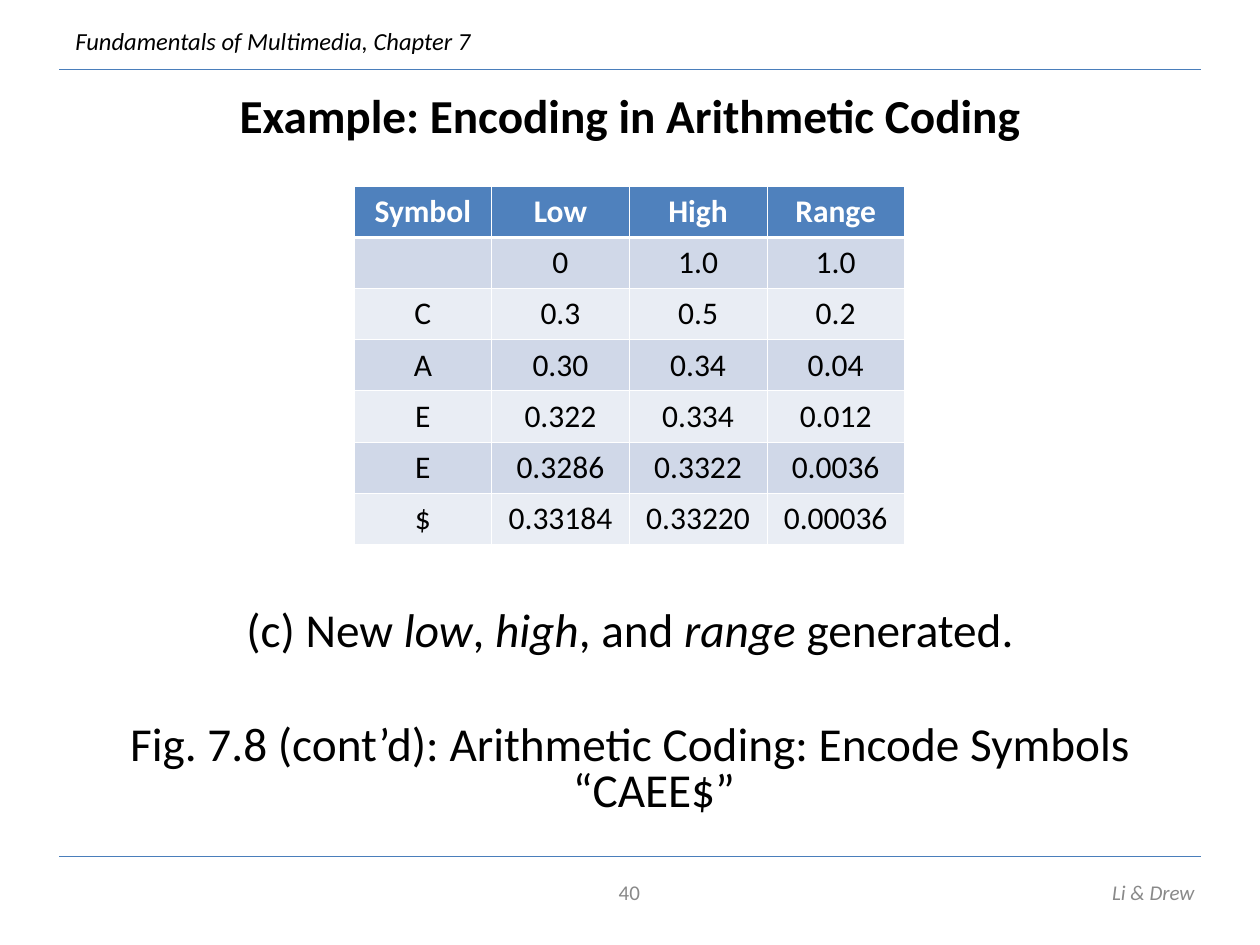
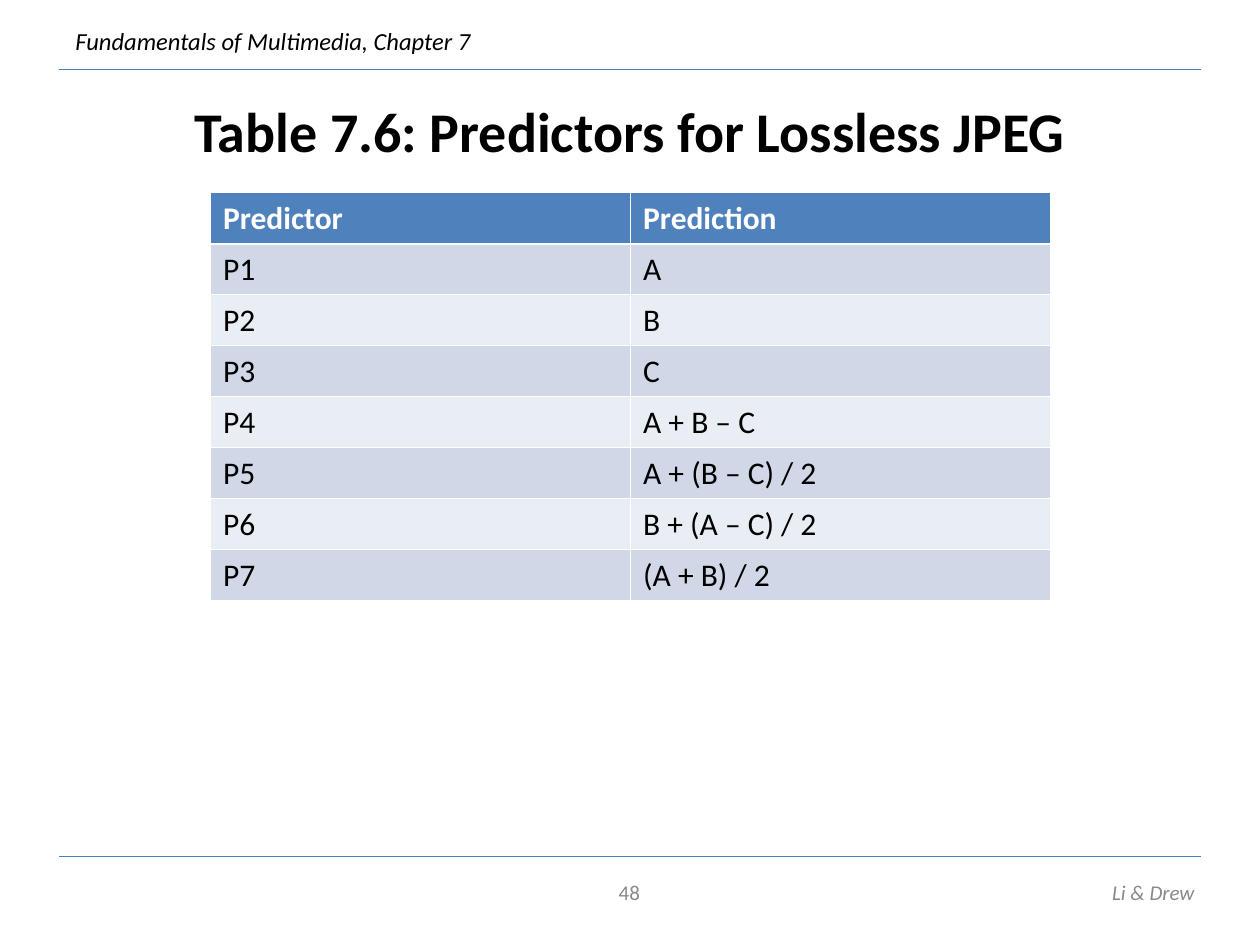
from dataclasses import dataclass

from lxml import etree
from pptx import Presentation
from pptx.dml.color import RGBColor
from pptx.enum.shapes import MSO_CONNECTOR
from pptx.enum.text import MSO_ANCHOR, PP_ALIGN
from pptx.oxml.ns import qn
from pptx.util import Inches, Pt

LEFT, CENTER, RIGHT = PP_ALIGN.LEFT, PP_ALIGN.CENTER, PP_ALIGN.RIGHT
TOP, MIDDLE = MSO_ANCHOR.TOP, MSO_ANCHOR.MIDDLE
STRAIGHT = MSO_CONNECTOR.STRAIGHT


@dataclass(frozen=True)
class Theme:
    font: str = "Calibri"
    text: str = "000000"
    white: str = "FFFFFF"
    muted: str = "898989"
    rule: str = "4A7EBB"
    header: str = "4F81BD"
    bands: tuple = ("D0D8E8", "E9EDF4")
    running_size: int = 14
    footer_size: int = 12
    caption_size: int = 27
    table_size: int = 18
    rule_width: float = 0.75
    border: float = 0.45
    header_border: float = 1.47


THEME = Theme()
RUNNING_HEAD = "Fundamentals of Multimedia, Chapter 7"
AUTHORS = "Li & Drew"
RULE_SPAN = (0.47, 9.53)
RULE_TOPS = (0.55, 6.8)
TITLE_BOX = (0.5, 0.7, 9, 0.7)
CAPTION_BOX = (0.5, 4.78, 9, 1.78)
HANGING = 0.38

SLIDES = [
    {
        "number": "40",
        "title": "Example: Encoding in Arithmetic Coding",
        "title_size": 27,
        "title_spacing": 0.8,
        "table_box": (2.81, 1.48, 4.37, 2.84),
        "table_align": CENTER,
        "rows": [
            ("Symbol", "Low", "High", "Range"),
            ("", "0", "1.0", "1.0"),
            ("C", "0.3", "0.5", "0.2"),
            ("A", "0.30", "0.34", "0.04"),
            ("E", "0.322", "0.334", "0.012"),
            ("E", "0.3286", "0.3322", "0.0036"),
            ("$", "0.33184", "0.33220", "0.00036"),
        ],
        "captions": [
            [("(c) New ", False), ("low", True), (", ", False), ("high", True),
             (", and ", False), ("range ", True), ("generated.", False)],
            [("Fig. 7.8 (cont’d): Arithmetic Coding: Encode Symbols “CAEE$”", False)],
        ],
    },
    {
        "number": "48",
        "title": "Table 7.6: Predictors for Lossless JPEG",
        "title_size": 32,
        "title_spacing": 1.0,
        "table_box": (1.67, 1.53, 6.67, 3.24),
        "table_align": LEFT,
        "rows": [
            ("Predictor", "Prediction"),
            ("P1", "A"),
            ("P2", "B"),
            ("P3", "C"),
            ("P4", "A + B – C"),
            ("P5", "A + (B – C) / 2"),
            ("P6", "B + (A – C) / 2"),
            ("P7", "(A + B) / 2"),
        ],
        "captions": [],
    },
]


def write(tf, paragraphs, size, color=THEME.text, bold=False, align=LEFT,
          spacing=1.0, gap=0, hanging=0):
    for i, runs in enumerate(paragraphs):
        p = tf.add_paragraph() if i else tf.paragraphs[0]
        p.alignment = align
        p.line_spacing = spacing
        if i:
            p.space_before = Pt(gap)
        if hanging:
            pPr = p._p.get_or_add_pPr()
            pPr.set("marL", str(Inches(hanging)))
            pPr.set("indent", str(-Inches(hanging)))
        for text, italic in runs:
            r = p.add_run()
            r.text = text
            r.font.name = THEME.font
            r.font.size = Pt(size)
            r.font.bold = bold
            r.font.italic = italic
            r.font.color.rgb = RGBColor.from_string(color)


def add_text(slide, box, paragraphs, anchor=TOP, inset=0.05, wrap=True, **fmt):
    tf = slide.shapes.add_textbox(*map(Inches, box)).text_frame
    tf.word_wrap = wrap
    tf.vertical_anchor = anchor
    tf.margin_top = Inches(inset)
    write(tf, paragraphs, **fmt)


def add_rule(slide, y):
    x1, x2 = RULE_SPAN
    sp = slide.shapes.add_connector(STRAIGHT, *map(Inches, (x1, y, x2, y)))
    sp.line.color.rgb = RGBColor.from_string(THEME.rule)
    sp.line.width = Pt(THEME.rule_width)
    etree.SubElement(sp._element.spPr, qn("a:effectLst"))


def set_borders(cell, row):
    widths = {
        "lnL": THEME.border,
        "lnR": THEME.border,
        "lnT": THEME.header_border if row == 1 else THEME.border,
        "lnB": THEME.header_border if row == 0 else THEME.border,
    }
    tcPr = cell._tc.get_or_add_tcPr()
    for i, (side, width) in enumerate(widths.items()):
        ln = etree.Element(qn(f"a:{side}"), w=str(Pt(width)))
        fill = etree.SubElement(ln, qn("a:solidFill"))
        etree.SubElement(fill, qn("a:srgbClr"), val=THEME.white)
        tcPr.insert(i, ln)


def add_data_table(slide, rows, box, align):
    x, y, w, h = map(Inches, box)
    table = slide.shapes.add_table(len(rows), len(rows[0]), x, y, w, h).table
    table.horz_banding = False
    for i, values in enumerate(rows):
        header = i == 0
        fill = THEME.header if header else THEME.bands[(i - 1) % 2]
        for j, value in enumerate(values):
            cell = table.cell(i, j)
            cell.fill.solid()
            cell.fill.fore_color.rgb = RGBColor.from_string(fill)
            set_borders(cell, i)
            write(cell.text_frame, [[(value, False)] if value else []],
                  size=THEME.table_size, bold=header, align=align,
                  color=THEME.white if header else THEME.text)


def add_frame(slide, number):
    for y in RULE_TOPS:
        add_rule(slide, y)
    add_text(slide, (0.5, 0.16, 3.35, 0.34), [[(RUNNING_HEAD, True)]],
             wrap=False, size=THEME.running_size)
    footer = {"anchor": MIDDLE, "size": THEME.footer_size, "color": THEME.muted}
    add_text(slide, (6.41, 6.88, 3.17, 0.4), [[(AUTHORS, True)]], align=RIGHT, **footer)
    add_text(slide, (3.83, 6.88, 2.33, 0.4), [[(number, False)]], align=CENTER, **footer)


def build_slide(prs, content):
    slide = prs.slides.add_slide(prs.slide_layouts[6])
    add_frame(slide, content["number"])
    add_text(slide, TITLE_BOX, [[(content["title"], False)]], inset=0.07,
             size=content["title_size"], spacing=content["title_spacing"],
             bold=True, align=CENTER, hanging=HANGING)
    add_data_table(slide, content["rows"], content["table_box"], content["table_align"])
    if content["captions"]:
        add_text(slide, CAPTION_BOX, content["captions"], inset=0.07,
                 size=THEME.caption_size, spacing=0.8, gap=39.5,
                 align=CENTER, hanging=HANGING)


def main():
    prs = Presentation()
    prs.slide_width, prs.slide_height = Inches(10), Inches(7.5)
    for content in SLIDES:
        build_slide(prs, content)
    prs.save("out.pptx")


if __name__ == "__main__":
    main()
